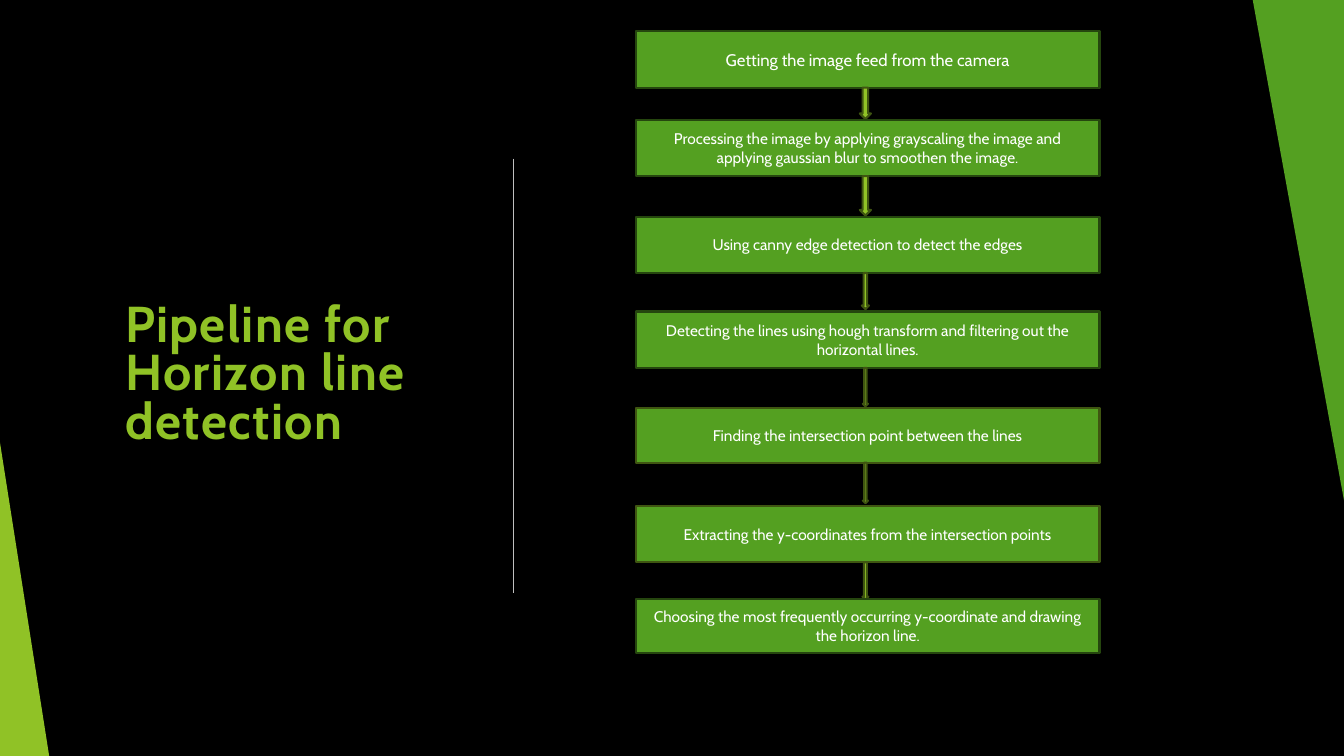
from dataclasses import dataclass

import pptx
import pptx.dml.color
import pptx.enum.shapes
import pptx.enum.text
import pptx.oxml
import pptx.oxml.ns
import pptx.shapes.autoshape
import pptx.slide
import pptx.util

Cm = pptx.util.Cm
Pt = pptx.util.Pt
RGB = pptx.dml.color.RGBColor
MSO_SHAPE = pptx.enum.shapes.MSO_SHAPE


@dataclass(frozen=True)
class Theme:
    font: str = "Cabin"
    background: str = "000000"
    lime: str = "90C226"
    green: str = "54A021"
    dark_green: str = "25460E"
    olive: str = "3F5511"
    divider: str = "BFBFBF"
    text: str = "FFFFFF"
    title_size: float = 36
    first_step_size: float = 12
    step_size: float = 11
    outline: float = 1.5


@dataclass(frozen=True)
class Arrow:
    width: float
    height: float


@dataclass(frozen=True)
class Step:
    text: str
    top: float
    height: float
    size: float
    line: str
    arrow: Arrow | None = None


@dataclass(frozen=True)
class Wedge:
    left: float
    top: float
    width: float
    height: float
    fill: str
    rotation: float = 0


THEME = Theme()
STEP_LEFT, STEP_WIDTH, ARROW_CENTRE = 16.03, 11.68, 21.81

WEDGES = [
    Wedge(0, 11.15, 1.24, 7.9, THEME.lime),
    Wedge(31.57, 0, 2.34, 12.83, THEME.green, 180),
]

STEPS = [
    Step("Getting the image feed from the camera",
         0.79, 1.42, THEME.first_step_size, THEME.dark_green, Arrow(0.28, 0.79)),
    Step("Processing the image by applying grayscaling the image and "
         "applying gaussian blur to smoothen the image.",
         3.02, 1.42, THEME.step_size, THEME.dark_green, Arrow(0.28, 0.99)),
    Step("Using canny edge detection to detect the edges",
         5.46, 1.42, THEME.step_size, THEME.dark_green, Arrow(0.18, 0.91)),
    Step("Detecting the lines using hough transform and filtering out "
         "the horizontal lines.",
         7.85, 1.42, THEME.step_size, THEME.dark_green, Arrow(0.13, 0.97)),
    Step("Finding the intersection point between the lines",
         10.29, 1.37, THEME.step_size, THEME.olive, Arrow(0.13, 1.02)),
    Step("Extracting the y-coordinates from the intersection points",
         12.75, 1.42, THEME.step_size, THEME.olive, Arrow(0.15, 0.94)),
    Step("Choosing the most frequently occurring y-coordinate and drawing "
         "the horizon line.",
         15.09, 1.37, THEME.step_size, THEME.dark_green),
]


def add_filled(slide: pptx.slide.Slide, kind: MSO_SHAPE, left: float, top: float,
               width: float, height: float, fill: str,
               line: str | None = None) -> pptx.shapes.autoshape.Shape:
    sp = slide.shapes.add_shape(kind, Cm(left), Cm(top), Cm(width), Cm(height))
    sp.shadow.inherit = False
    sp.fill.solid()
    sp.fill.fore_color.rgb = RGB.from_string(fill)
    if line:
        sp.line.color.rgb = RGB.from_string(line)
        sp.line.width = Pt(THEME.outline)
    else:
        sp.line.fill.background()
    return sp


def add_title(slide: pptx.slide.Slide) -> None:
    sp = slide.shapes.title
    sp.left, sp.top, sp.width, sp.height = Cm(2.9), Cm(3.28), Cm(9.17), Cm(12.4)
    tf = sp.text_frame
    tf.text = "Pipeline for\vHorizon line detection"
    tf.word_wrap = True
    tf.auto_size = pptx.enum.text.MSO_AUTO_SIZE.NONE
    tf.vertical_anchor = pptx.enum.text.MSO_ANCHOR.MIDDLE
    p = tf.paragraphs[0]
    p.alignment = pptx.enum.text.PP_ALIGN.LEFT
    p.line_spacing = 0.8
    for r in p.runs:
        r.font.name = THEME.font
        r.font.size = Pt(THEME.title_size)
        r.font.bold = True
        r.font.color.rgb = RGB.from_string(THEME.lime)
        r.font._element.set("spc", "100")


def add_wedge(slide: pptx.slide.Slide, wedge: Wedge) -> None:
    sp = add_filled(slide, MSO_SHAPE.ISOSCELES_TRIANGLE, wedge.left, wedge.top,
                    wedge.width, wedge.height, wedge.fill)
    sp.adjustments[0] = 0
    sp.rotation = wedge.rotation


def add_divider(slide: pptx.slide.Slide) -> None:
    line = slide.shapes.add_connector(pptx.enum.shapes.MSO_CONNECTOR.STRAIGHT,
                                      Cm(12.94), Cm(4), Cm(12.94), Cm(14.94))
    line.line.color.rgb = RGB.from_string(THEME.divider)
    line.line.width = Pt(1)
    line._element.spPr.append(pptx.oxml.parse_xml(
        f"<a:effectLst {pptx.oxml.ns.nsdecls('a')}/>"))


def add_step(slide: pptx.slide.Slide, step: Step) -> None:
    sp = add_filled(slide, MSO_SHAPE.RECTANGLE, STEP_LEFT, step.top,
                    STEP_WIDTH, step.height, THEME.green, step.line)
    tf = sp.text_frame
    tf.text = step.text
    tf.word_wrap = True
    tf.vertical_anchor = pptx.enum.text.MSO_ANCHOR.MIDDLE
    p = tf.paragraphs[0]
    p.alignment = pptx.enum.text.PP_ALIGN.CENTER
    r = p.runs[0]
    r.font.name = THEME.font
    r.font.size = Pt(step.size)
    r.font.color.rgb = RGB.from_string(THEME.text)
    if step.arrow:
        add_filled(slide, MSO_SHAPE.DOWN_ARROW, ARROW_CENTRE - step.arrow.width / 2,
                   step.top + step.height, step.arrow.width, step.arrow.height,
                   THEME.lime, THEME.olive)


def main() -> None:
    prs = pptx.Presentation()
    prs.slide_width, prs.slide_height = Cm(33.87), Cm(19.05)
    slide = prs.slides.add_slide(prs.slide_layouts.get_by_name("Title Only"))
    slide.background.fill.solid()
    slide.background.fill.fore_color.rgb = RGB.from_string(THEME.background)
    add_title(slide)
    for wedge in WEDGES:
        add_wedge(slide, wedge)
    add_divider(slide)
    for step in STEPS:
        add_step(slide, step)
    prs.save("out.pptx")


if __name__ == "__main__":
    main()
